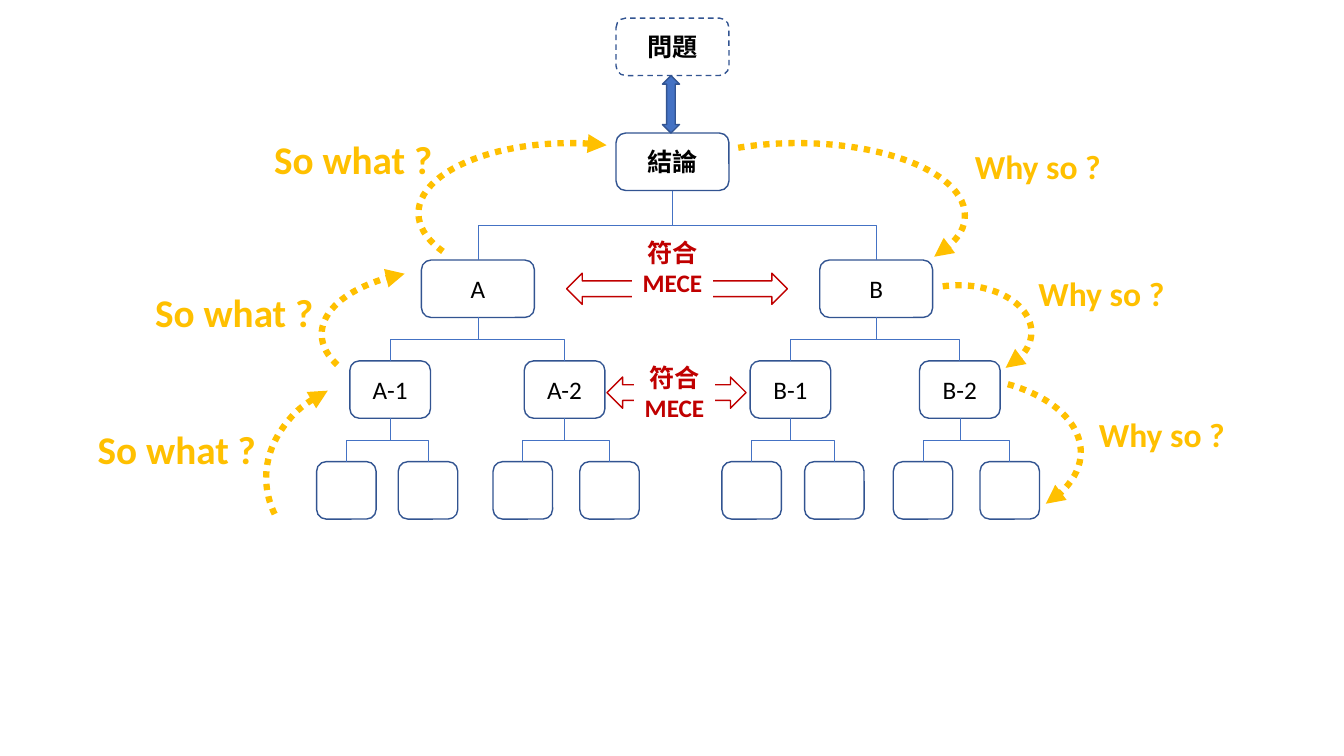
from lxml import etree
from pptx import Presentation
from pptx.dml.color import RGBColor
from pptx.enum.dml import MSO_LINE
from pptx.enum.shapes import MSO_CONNECTOR, MSO_SHAPE
from pptx.enum.text import MSO_ANCHOR, MSO_AUTO_SIZE, PP_ALIGN
from pptx.oxml.ns import qn
from pptx.util import Inches, Pt

ROUNDED, ARC, RECTANGLE = MSO_SHAPE.ROUNDED_RECTANGLE, MSO_SHAPE.ARC, MSO_SHAPE.RECTANGLE
UP_DOWN, LEFT_RIGHT = MSO_SHAPE.UP_DOWN_ARROW, MSO_SHAPE.LEFT_RIGHT_ARROW
ELBOW = MSO_CONNECTOR.ELBOW
DASH, DOTS = MSO_LINE.DASH, MSO_LINE.ROUND_DOT
MIDDLE, CENTER, LEFT = MSO_ANCHOR.MIDDLE, PP_ALIGN.CENTER, PP_ALIGN.LEFT
FIT_SHAPE = MSO_AUTO_SIZE.SHAPE_TO_FIT_TEXT
COLORS = {name: RGBColor.from_string(value) for name, value in {
    "white": "FFFFFF", "black": "000000", "outline": "325491",
    "blue": "4472C4", "red": "C00000", "gold": "FFC000"}.items()}
BOX_HEIGHT = 0.57

presentation = Presentation()
presentation.slide_width = Inches(13.33)
presentation.slide_height = Inches(7.5)
slide = presentation.slides.add_slide(presentation.slide_layouts[6])


def add_plain_shape(kind, place, fill=None, line=None, weight=1):
    """Add a shadowless shape; a missing fill or line colour means none."""
    shape = slide.shapes.add_shape(kind, *map(Inches, place))
    shape.shadow.inherit = False
    if fill:
        shape.fill.solid()
        shape.fill.fore_color.rgb = COLORS[fill]
    else:
        shape.fill.background()
    if line:
        shape.line.color.rgb = COLORS[line]
        shape.line.width = Pt(weight)
    else:
        shape.line.fill.background()
    return shape


def write_text(shape, text, size, color, bold, align):
    text_frame = shape.text_frame
    text_frame.text = text
    for paragraph in text_frame.paragraphs:
        paragraph.alignment = align
        for run in paragraph.runs:
            run.font.name = "Calibri"
            run.font.size = Pt(size)
            run.font.bold = bold
            run.font.color.rgb = COLORS[color]


# Pyramid boxes: key, text, left, top, width, parent
nodes = [
    ("problem", "問題", 6.11, 0.18, 1.12, None),
    ("conclusion", "結論", 6.11, 1.32, 1.12, None),
    ("A", "A", 4.18, 2.58, 1.12, "conclusion"),
    ("B", "B", 8.13, 2.58, 1.12, "conclusion"),
    ("A-1", "A-1", 3.47, 3.58, 0.8, "A"),
    ("A-2", "A-2", 5.2, 3.58, 0.8, "A"),
    ("B-1", "B-1", 7.44, 3.58, 0.8, "B"),
    ("B-2", "B-2", 9.12, 3.58, 0.8, "B"),
]
leaf_lefts = {"A-1": (3.14, 3.95), "A-2": (4.89, 5.75),
              "B-1": (7.16, 7.98), "B-2": (8.86, 9.72)}
for parent, lefts in leaf_lefts.items():
    for number, left in enumerate(lefts, 1):
        nodes.append((f"{parent}-{number}", "", left, 4.58, 0.59, parent))

boxes = {}
for key, text, left, top, width, parent in nodes:
    box = add_plain_shape(ROUNDED, (left, top, width, BOX_HEIGHT), "white", "outline")
    box.text_frame.vertical_anchor = MIDDLE
    if text:
        write_text(box, text, 18, "black", key in ("problem", "conclusion"), CENTER)
    boxes[key] = box
boxes["problem"].line.dash_style = DASH
add_plain_shape(UP_DOWN, (6.57, 0.75, 0.17, 0.57), "blue", "outline")

# Elbow connectors leave each parent downwards, so their frames are turned
for key, text, left, top, width, parent in nodes:
    if parent is None:
        continue
    upper, lower = boxes[parent], boxes[key]
    start_x, start_y = upper.left + upper.width // 2, upper.top + upper.height
    end_x, end_y = lower.left + lower.width // 2, lower.top
    across, down = abs(end_x - start_x), end_y - start_y
    connector = slide.shapes.add_connector(ELBOW, start_x, start_y, end_x, end_y)
    connector.begin_connect(upper, 2)
    connector.end_connect(lower, 0)
    connector.left = (start_x + end_x - down) // 2
    connector.top = (start_y + end_y - across) // 2
    connector.width, connector.height = down, across
    goes_right = end_x > start_x
    frame = connector._element.spPr.find(qn("a:xfrm"))
    frame.set("rot", "16200000" if goes_right else "5400000")
    frame.set("flipH", "1" if goes_right else "0")
    connector.line.color.rgb = COLORS["blue"]
    connector.line.width = Pt(0.5)
    etree.SubElement(connector._element.spPr, qn("a:effectLst"))

# MECE arrows and the labels over them
mece_pairs = [
    ((5.62, 2.71, 2.19, 0.31), (6.27, 2.3, 0.8, 0.71)),
    ((6.02, 3.74, 1.38, 0.31), (6.29, 3.54, 0.8, 0.71)),
]
for arrow_place, label_place in mece_pairs:
    add_plain_shape(LEFT_RIGHT, arrow_place, "white", "red")
    label = add_plain_shape(RECTANGLE, label_place, "white")
    label.text_frame.word_wrap = False
    label.text_frame.auto_size = FIT_SHAPE
    label.text_frame.vertical_anchor = MSO_ANCHOR.TOP
    write_text(label, "符合\nMECE", 18, "red", True, CENTER)

# Dotted arcs: place, start and end adjustment, on the left side
arcs = [
    ((2.64, 3.72, 2.61, 2.04), 185.265, 10.162, True),
    ((3.19, 2.67, 2.61, 1.29), 185.265, 10.162, True),
    ((4.15, 1.42, 3.01, 1.39), 145.096, 10.162, True),
    ((8.19, 3.74, 2.53, 1.49), 185.265, 17.515, False),
    ((8.79, 2.83, 1.44, 0.93), 150.367, 22.421, False),
    ((6.25, 1.42, 3.32, 1.43), 137.186, 10.162, False),
]
for place, start, end, on_left in arcs:
    arc = add_plain_shape(ARC, place, line="gold", weight=4.5)
    arc.adjustments[0], arc.adjustments[1] = start, end
    arc.line.dash_style = DOTS
    if on_left:
        arc._element.spPr.find(qn("a:xfrm")).set("flipH", "1")
    arrowhead = qn("a:headEnd" if on_left else "a:tailEnd")
    etree.SubElement(arc._element.spPr.find(qn("a:ln")), arrowhead, type="triangle")

# Questions beside the arcs
questions = [
    ("So what ?", 28, 1.79, 0.57, [(2.62, 1.29), (1.44, 2.81), (0.87, 4.17)]),
    ("Why so ?", 24, 1.46, 0.5, [(9.57, 1.4), (10.2, 2.66), (10.8, 4.06)]),
]
for text, size, width, height, corners in questions:
    for left, top in corners:
        question = slide.shapes.add_textbox(*map(Inches, (left, top, width, height)))
        question.text_frame.word_wrap = False
        question.text_frame.auto_size = FIT_SHAPE
        write_text(question, text, size, "gold", True, LEFT)

presentation.save("out.pptx")
